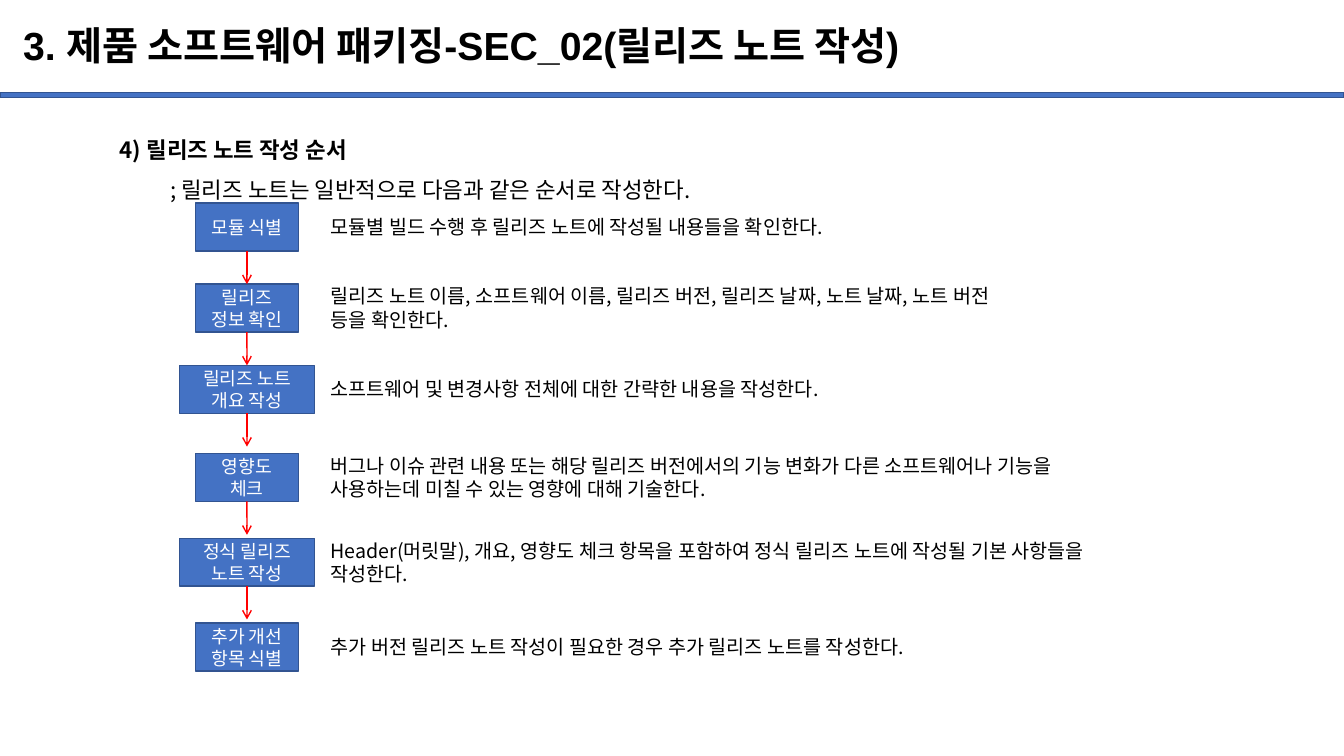
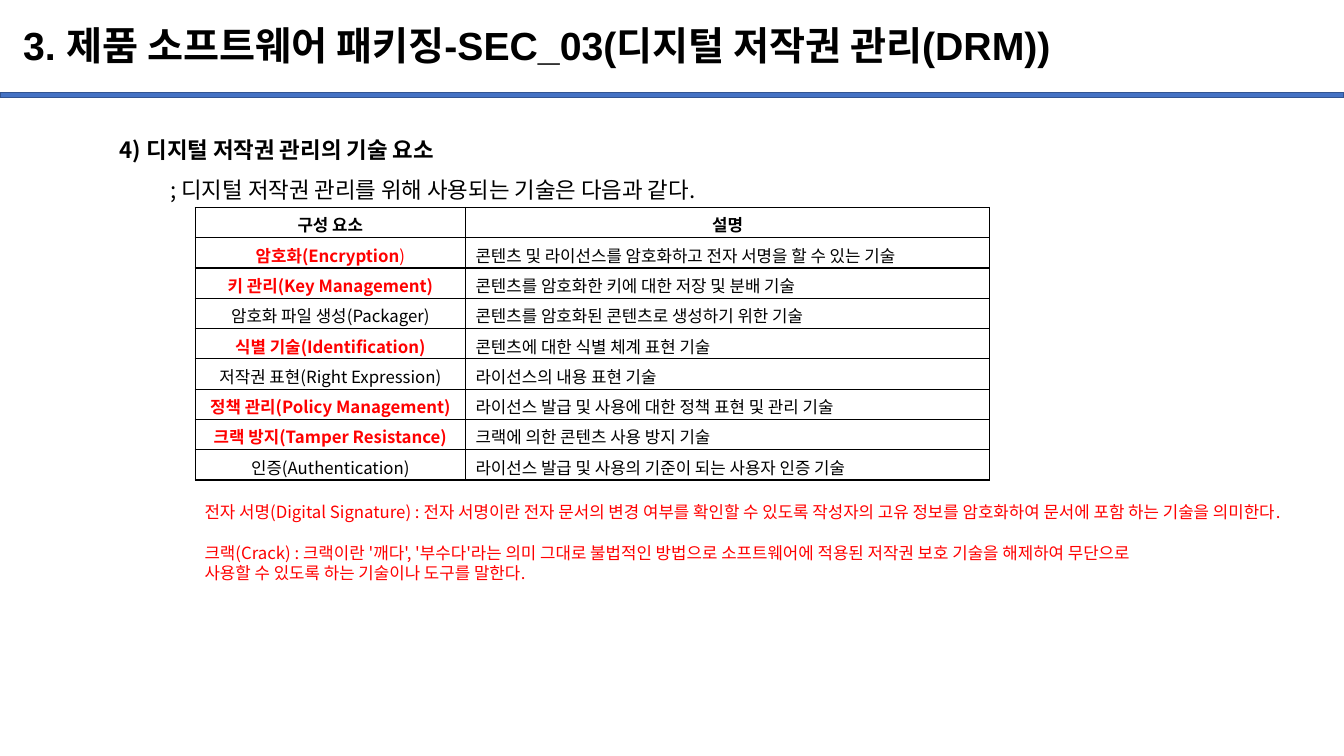
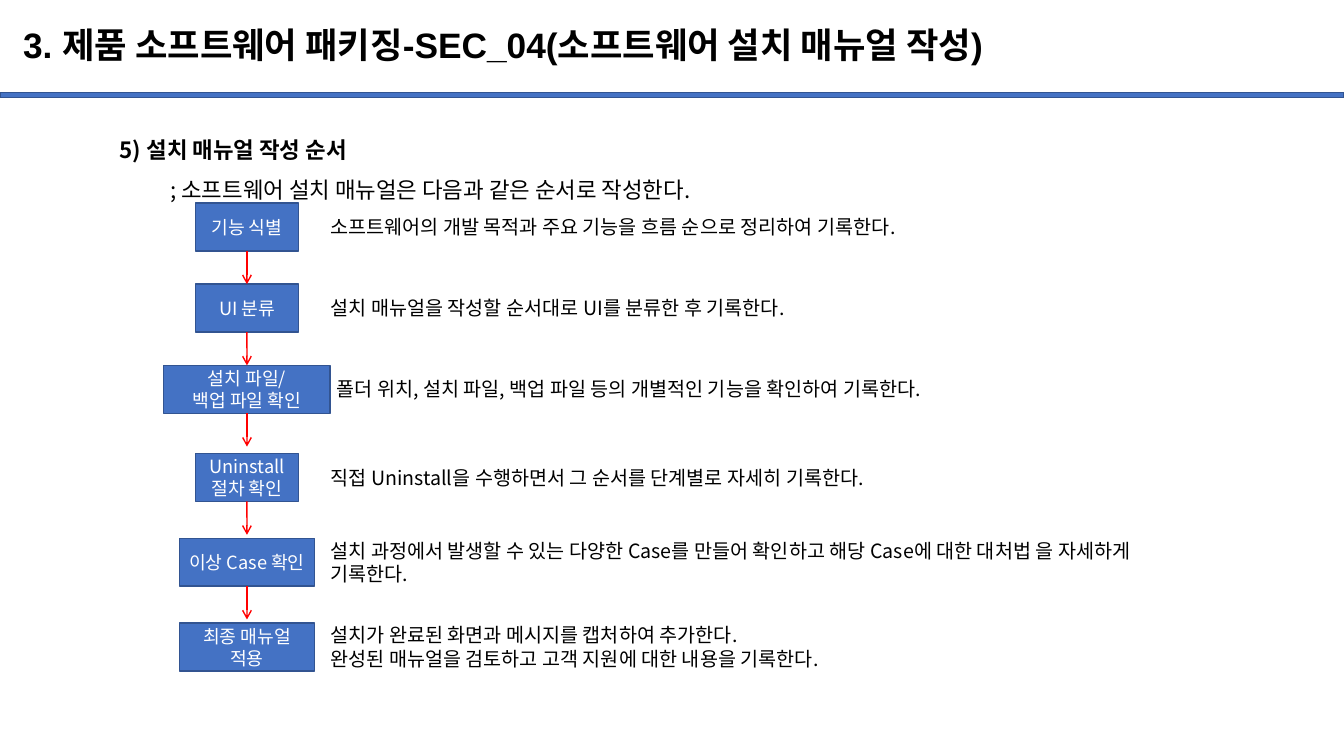
import pptx
import pptx.util
import pptx.dml.color
import pptx.enum.shapes
import pptx.enum.text
from lxml import etree
from pptx.oxml.ns import qn

Pt = pptx.util.Pt
RGB = pptx.dml.color.RGBColor
BLUE = RGB(0x44, 0x72, 0xC4)
EDGE = RGB(0x32, 0x54, 0x91)
RED = RGB(0xFF, 0, 0)
BLACK = RGB(0, 0, 0)
WHITE = RGB(0xFF, 0xFF, 0xFF)
SANS = "Noto Sans CJK KR"
CENTER = pptx.enum.text.PP_ALIGN.CENTER
LEFT = pptx.enum.text.PP_ALIGN.LEFT
MIDDLE = pptx.enum.text.MSO_ANCHOR.MIDDLE
TOP = pptx.enum.text.MSO_ANCHOR.TOP
RECT = pptx.enum.shapes.MSO_SHAPE.RECTANGLE
STRAIGHT = pptx.enum.shapes.MSO_CONNECTOR.STRAIGHT

AXIS = 176.4
TOPS = [145, 203, 261, 324, 384.5, 445]
TALL = 34.2
REACH = 23.8
SMALL, BROAD, WIDE = 73.6, 96.6, 119
NOTE_H = {1: 24.4, 2: 41}

RELEASE = [
    ("모듈 식별", SMALL, 1, "모듈별 빌드 수행 후 릴리즈 노트에 작성될 내용들을 확인한다."),
    ("릴리즈 정보 확인", SMALL, 2,
     "릴리즈 노트 이름, 소프트웨어 이름, 릴리즈 버전, 릴리즈 날짜, 노트 날짜, 노트 버전\n등을 확인한다."),
    ("릴리즈 노트 개요 작성", BROAD, 1, "소프트웨어 및 변경사항 전체에 대한 간략한 내용을 작성한다."),
    ("영향도\n체크", SMALL, 2,
     "버그나 이슈 관련 내용 또는 해당 릴리즈 버전에서의 기능 변화가 다른 소프트웨어나 기능을 "
     "사용하는데 미칠 수 있는 영향에 대해 기술한다."),
    ("정식 릴리즈 노트 작성", BROAD, 2,
     "Header(머릿말), 개요, 영향도 체크 항목을 포함하여 정식 릴리즈 노트에 작성될 기본 사항들을 작성한다."),
    ("추가 개선 항목 식별", SMALL, 1, "추가 버전 릴리즈 노트 작성이 필요한 경우 추가 릴리즈 노트를 작성한다."),
]
INSTALL = [
    ("기능 식별", SMALL, 1, "소프트웨어의 개발 목적과 주요 기능을 흐름 순으로 정리하여 기록한다."),
    ("UI 분류", SMALL, 1, "설치 매뉴얼을 작성할 순서대로 UI를 분류한 후 기록한다."),
    ("설치 파일/\n백업 파일 확인", WIDE, 1, "폴더 위치, 설치 파일, 백업 파일 등의 개별적인 기능을 확인하여 기록한다."),
    ("Uninstall 절차 확인", SMALL, 1, "직접 Uninstall을 수행하면서 그 순서를 단계별로 자세히 기록한다."),
    ("이상 Case 확인", BROAD, 2,
     "설치 과정에서 발생할 수 있는 다양한 Case를 만들어 확인하고 해당 Case에 대한 대처법 을 자세하게 기록한다."),
    ("최종 매뉴얼 적용", BROAD, 2,
     "설치가 완료된 화면과 메시지를 캡처하여 추가한다.\n완성된 매뉴얼을 검토하고 고객 지원에 대한 내용을 기록한다."),
]
HEADS = ("구성 요소", "설명")
TERMS = [
    ("암호화(Encryption)", True, "콘텐츠 및 라이선스를 암호화하고 전자 서명을 할 수 있는 기술"),
    ("키 관리(Key Management)", True, "콘텐츠를 암호화한 키에 대한 저장 및 분배 기술"),
    ("암호화 파일 생성(Packager)", False, "콘텐츠를 암호화된 콘텐츠로 생성하기 위한 기술"),
    ("식별 기술(Identification)", True, "콘텐츠에 대한 식별 체계 표현 기술"),
    ("저작권 표현(Right Expression)", False, "라이선스의 내용 표현 기술"),
    ("정책 관리(Policy Management)", True, "라이선스 발급 및 사용에 대한 정책 표현 및 관리 기술"),
    ("크랙 방지(Tamper Resistance)", True, "크랙에 의한 콘텐츠 사용 방지 기술"),
    ("인증(Authentication)", False, "라이선스 발급 및 사용의 기준이 되는 사용자 인증 기술"),
]
GLOSS = (
    "전자 서명(Digital Signature) : 전자 서명이란 전자 문서의 변경 여부를 확인할 수 있도록 "
    "작성자의 고유 정보를 암호화하여 문서에 포함 하는 기술을 의미한다.\n"
    "크랙(Crack) : 크랙이란 '깨다', '부수다'라는 의미 그대로 불법적인 방법으로 소프트웨어에 적용된 "
    "저작권 보호 기술을 해제하여 무단으로\n사용할 수 있도록 하는 기술이나 도구를 말한다."
)


def style(run, size, color, bold=False, face=SANS):
    run.font.size = Pt(size)
    run.font.bold = bold
    run.font.color.rgb = color
    run.font.name = face
    etree.SubElement(run.font._element, qn("a:ea")).set("typeface", SANS)


def write(frame, text, size, color, bold=False, face=SANS, align=LEFT):
    frame.text = text
    for para in frame.paragraphs:
        para.alignment = align
        for run in para.runs:
            style(run, size, color, bold, face)


def add_text(slide, spot, text, size, color=BLACK, bold=False, face=SANS, anchor=TOP):
    frame = slide.shapes.add_textbox(*map(Pt, spot)).text_frame
    frame.word_wrap = True
    frame.vertical_anchor = anchor
    write(frame, text, size, color, bold, face)
    return frame


def add_box(slide, spot):
    box = slide.shapes.add_shape(RECT, *map(Pt, spot))
    box.shadow.inherit = False
    box.fill.solid()
    box.fill.fore_color.rgb = BLUE
    box.line.color.rgb = EDGE
    box.line.width = Pt(1)
    return box


def add_page(deck, title, head, lead, size=28):
    slide = deck.slides.add_slide(deck.slide_layouts[6])
    add_box(slide, (0, 66.2, 960, 3.6))
    frame = add_text(slide, (9.4, 7.2, 828, 53.3), "3. 제품 소프트웨어 패키징-" + title,
                     size, bold=True, face="Arial", anchor=MIDDLE)
    frame.paragraphs[0].line_spacing = 0.9
    frame = add_text(slide, (78.5, 84.2, 843.8, 65.5), head + "\n" + lead, 16)
    first, second = frame.paragraphs
    first.line_spacing = second.line_spacing = 1.5
    first.runs[0].font.bold = True
    second._p.get_or_add_pPr().set("marL", str(Pt(36)))
    return slide


def add_arrow(slide, start, goal):
    y = start.top + start.height
    line = slide.shapes.add_connector(STRAIGHT, Pt(AXIS), y, Pt(AXIS), y + Pt(REACH))
    line.begin_connect(start, 2)
    if goal.top - y <= Pt(REACH):
        line.end_connect(goal, 0)
    line.line.color.rgb = RED
    line.line.width = Pt(1)
    etree.SubElement(line.line._get_or_add_ln(), qn("a:tailEnd")).set("type", "arrow")
    etree.SubElement(line._element.spPr, qn("a:effectLst"))


def add_flow(slide, steps):
    boxes = []
    for top, (name, width, lines, note) in zip(TOPS, steps):
        box = add_box(slide, (AXIS - width / 2, top, width, TALL))
        box.text_frame.word_wrap = True
        box.text_frame.vertical_anchor = MIDDLE
        write(box.text_frame, name, 13, WHITE, align=CENTER)
        boxes.append(box)
        left = 233.3 if width == WIDE else 229
        high = NOTE_H[lines]
        add_text(slide, (left, top + (TALL - high) / 2, 591, high), note, 14)
    for start, goal in zip(boxes, boxes[1:]):
        add_arrow(slide, start, goal)


def fill_cell(cell, text, color, bold, align):
    cell.fill.background()
    cell.vertical_anchor = MIDDLE
    write(cell.text_frame, text, 12, color, bold, align=align)
    props = cell._tc.get_or_add_tcPr()
    for spot, side in enumerate(("a:lnL", "a:lnR", "a:lnT", "a:lnB")):
        edge = etree.Element(qn(side), w=str(Pt(1)))
        paint = etree.SubElement(edge, qn("a:solidFill"))
        etree.SubElement(paint, qn("a:srgbClr")).set("val", str(BLACK))
        props.insert(spot, edge)


def add_terms(slide):
    count = len(TERMS) + 1
    grid = slide.shapes.add_table(count, 2, Pt(139.5), Pt(148.2), Pt(567.5), Pt(21.6 * count)).table
    grid.first_row = grid.horz_banding = False
    for col, width in zip(grid.columns, (193, 374.5)):
        col.width = Pt(width)
    for col, head in enumerate(HEADS):
        fill_cell(grid.cell(0, col), head, BLACK, True, CENTER)
    for row, (term, key, text) in enumerate(TERMS, 1):
        fill_cell(grid.cell(row, 0), term, RED if key else BLACK, key, CENTER)
        fill_cell(grid.cell(row, 1), text, BLACK, False, LEFT)
    para = grid.cell(1, 0).text_frame.paragraphs[0]
    para.runs[0].text = TERMS[0][0][:-1]
    tail = para.add_run()
    tail.text = ")"
    style(tail, 12, RED)


def main():
    deck = pptx.Presentation()
    deck.slide_width, deck.slide_height = Pt(960), Pt(540)
    page = add_page(deck, "SEC_02(릴리즈 노트 작성)", "4) 릴리즈 노트 작성 순서",
                    "; 릴리즈 노트는 일반적으로 다음과 같은 순서로 작성한다.")
    add_flow(page, RELEASE)
    page = add_page(deck, "SEC_03(디지털 저작권 관리(DRM))", "4) 디지털 저작권 관리의 기술 요소",
                    "; 디지털 저작권 관리를 위해 사용되는 기술은 다음과 같다.")
    add_terms(page)
    gloss = add_text(page, (139, 355, 805, 80), GLOSS, 12, RED)
    gloss.paragraphs[1].space_before = Pt(14.6)
    page = add_page(deck, "SEC_04(소프트웨어 설치 매뉴얼 작성)", "5) 설치 매뉴얼 작성 순서",
                    "; 소프트웨어 설치 매뉴얼은 다음과 같은 순서로 작성한다.", 25.2)
    add_flow(page, INSTALL)
    deck.save("out.pptx")


if __name__ == "__main__":
    main()
